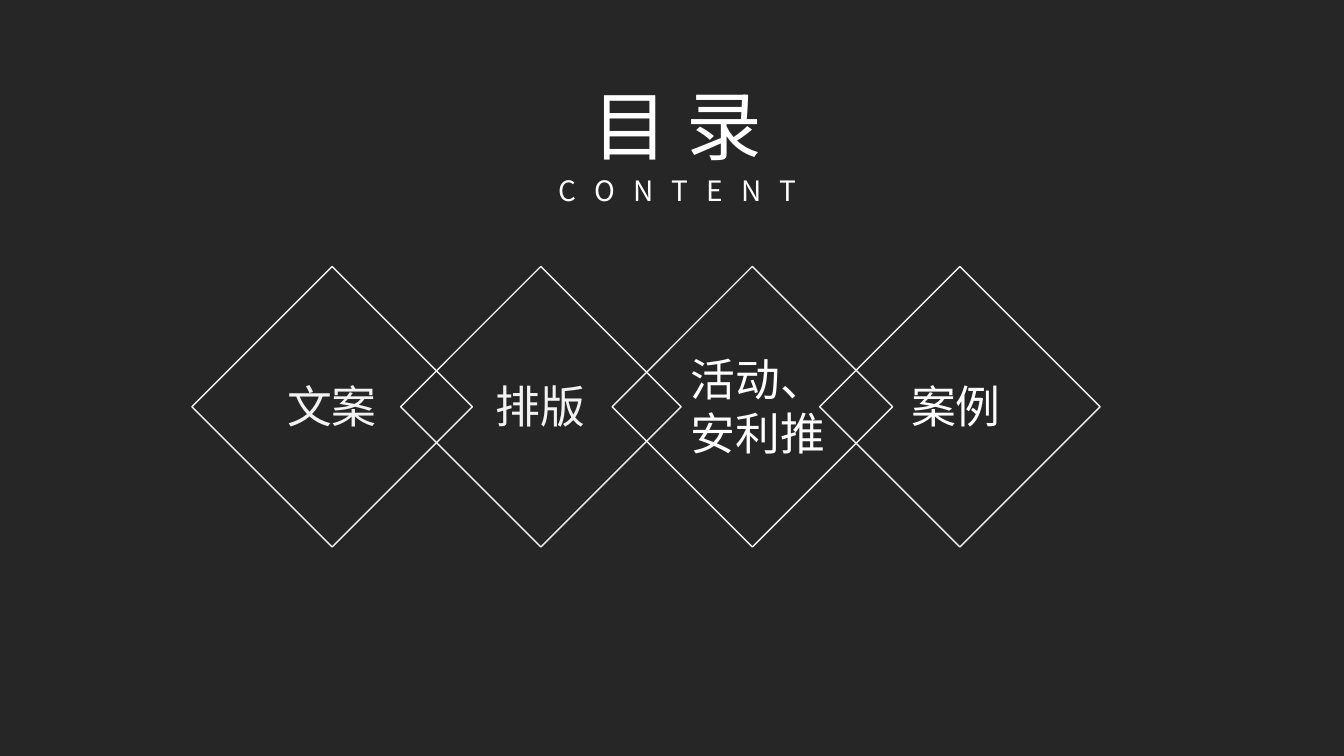
"""Build a dark contents slide with four linked diamonds."""
from lxml import etree
from pptx import Presentation
from pptx.dml.color import RGBColor
from pptx.enum import shapes, text
from pptx.oxml import ns
from pptx.util import Cm, Pt

DARK = RGBColor(0x26, 0x26, 0x26)
WHITE = RGBColor(0xFF, 0xFF, 0xFF)
PALE = RGBColor(0xF2, 0xF2, 0xF2)
SC, JP = "Noto Sans CJK SC", "Noto Sans CJK JP"
CENTER, LEFT = text.PP_ALIGN.CENTER, text.PP_ALIGN.LEFT


def write(sp, box, words, size, font, color, align, spacing=0):
    sp.left, sp.top, sp.width, sp.height = [Cm(v) for v in box]
    tf = sp.text_frame
    tf.word_wrap = True
    tf.auto_size = text.MSO_AUTO_SIZE.SHAPE_TO_FIT_TEXT
    tf.vertical_anchor = text.MSO_ANCHOR.TOP
    p = tf.paragraphs[0]
    p.alignment = align
    r = p.add_run()
    r.text = words
    r.font.size = Pt(size)
    r.font.color.rgb = color
    r.font.name = font
    rPr = r.font._element
    etree.SubElement(rPr, ns.qn("a:ea"), typeface=font)
    if spacing:
        rPr.set("spc", str(spacing * 100))


prs = Presentation()
prs.slide_width, prs.slide_height = Cm(33.87), Cm(19.05)
s = prs.slides.add_slide(prs.slide_layouts[5])
s.background.fill.solid()
s.background.fill.fore_color.rgb = DARK

write(s.shapes.title, (13.41, 1.85, 7.32, 2.57), "目录", 54, SC, WHITE, CENTER, 13)
subtitle = s.shapes.add_textbox(0, 0, 0, 0)
write(subtitle, (10.11, 4.24, 13.94, 1.12), "CONTENT", 20, SC, WHITE, CENTER, 13)

topics = [
    (5.87, "文案", (5.61, 9.42, 5.51, 1.63), PALE, CENTER),
    (11.13, "排版", (10.87, 9.42, 5.51, 1.63), PALE, CENTER),
    (16.46, "活动、安利推", (17.15, 8.74, 4.47, 3), WHITE, LEFT),
    (21.69, "案例", (22.71, 9.42, 2.95, 1.63), WHITE, LEFT),
]
for left, words, box, color, align in topics:
    diamond = s.shapes.add_shape(
        shapes.MSO_SHAPE.RECTANGLE, Cm(left), Cm(7.75), Cm(5), Cm(5))
    diamond.rotation = 45
    diamond.shadow.inherit = False
    diamond.fill.background()
    diamond.line.color.rgb = PALE
    diamond.line.width = Pt(1)
    label = s.shapes.add_textbox(0, 0, 0, 0)
    write(label, box, words, 32, JP, color, align)

prs.save("out.pptx")
